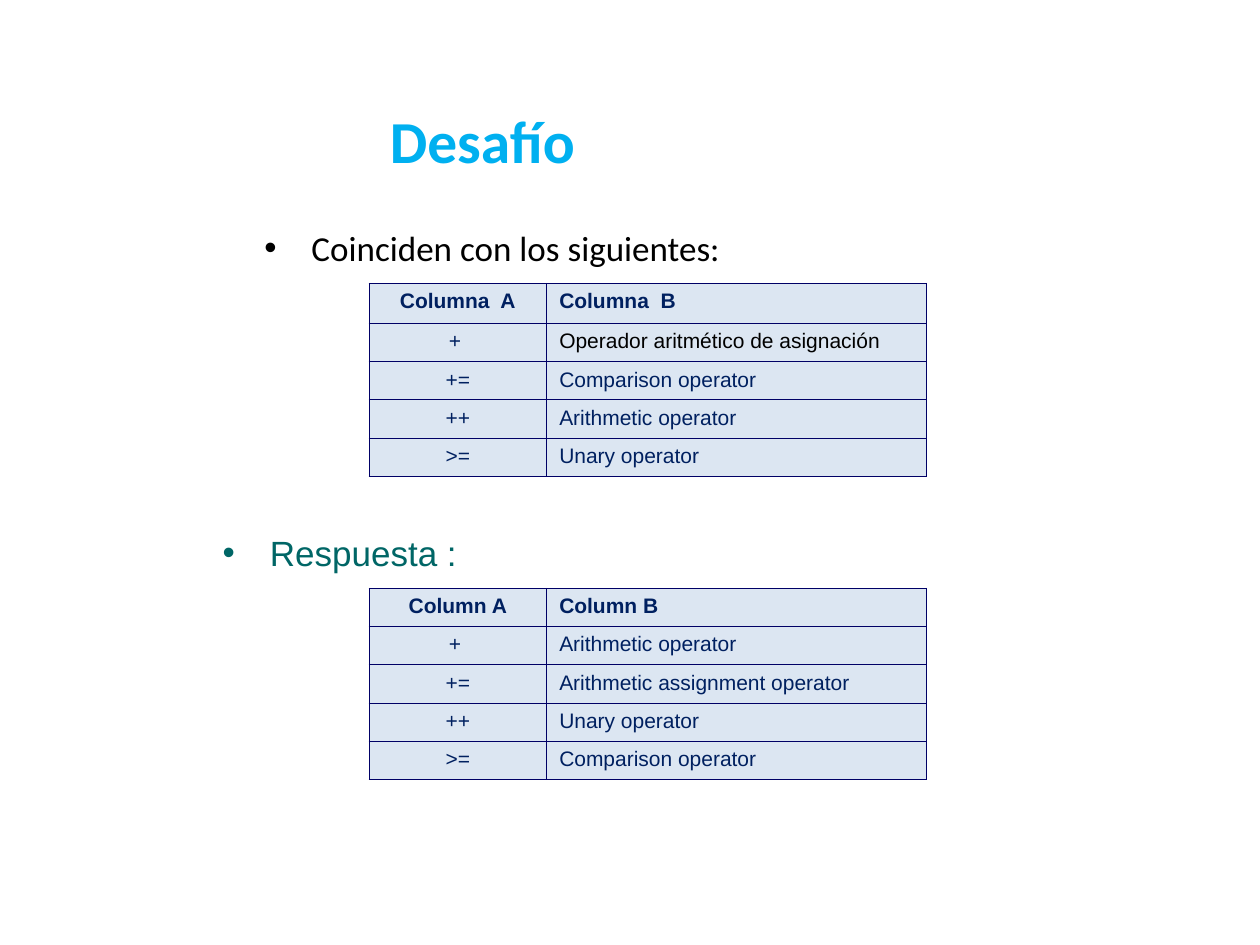
from lxml.etree import SubElement
from pptx import Presentation
from pptx.dml.color import RGBColor
from pptx.enum.text import PP_ALIGN
from pptx.oxml.ns import qn
from pptx.util import Cm, Pt

SKY = RGBColor(0x00, 0xB0, 0xF0)
BLACK = RGBColor(0x00, 0x00, 0x00)
TEAL = RGBColor(0x00, 0x66, 0x66)
NAVY = RGBColor(0x00, 0x20, 0x60)
PALE = RGBColor(0xDC, 0xE6, 0xF2)
EDGE = RGBColor(0x00, 0x00, 0x66)

# Content: boxes are left, top, width, height in cm
TITLE = ("Desafío", (0.2, 1.98, 19.05, 1.7))
TASK = ("Coinciden con los siguientes:", (5.08, 4.45, 20.32, 5.92))
REPLY = ("Respuesta :", (4.24, 10.59, 15.88, 7.19))
PAIRS = [
    ("Columna  A", "Columna  B"),
    ("+ ", "Operador aritmético de asignación"),
    ("+=", "Comparison operator"),
    ("++", "Arithmetic operator"),
    (">=", "Unary operator"),
]
MATCHES = [
    ("Column A", "Column B"),
    ("+ ", "Arithmetic operator"),
    ("+=", "Arithmetic assignment operator"),
    ("++", "Unary operator"),
    (">=", "Comparison operator"),
]
SPANISH = "Operador aritmético de asignación"  # the one black cell
LEFT, COLS, ROW = 7.44, (3.58, 7.65), 0.77


def write(frame, text, size=12, font="Arial", color=NAVY, bold=False,
          align=PP_ALIGN.LEFT, bullet=False):
    frame.word_wrap = True
    para = frame.paragraphs[0]
    para.alignment = align
    if bullet:
        props = para._p.get_or_add_pPr()
        props.set("marL", str(Cm(0.95)))
        props.set("indent", str(-Cm(0.95)))
        tint = SubElement(props, qn("a:buClr"))
        SubElement(tint, qn("a:srgbClr"), val=str(color))
        SubElement(props, qn("a:buFont"), typeface="Arial")
        SubElement(props, qn("a:buChar"), char="•")
    run = para.add_run()
    run.text = text
    run.font.size = Pt(size)
    run.font.name = font
    run.font.bold = bold
    run.font.color.rgb = color


def add_text(slide, item, **style):
    text, box = item
    frame = slide.shapes.add_textbox(*map(Cm, box)).text_frame
    write(frame, text, **style)


def outline(cell):
    props = cell._tc.get_or_add_tcPr()
    for side in ("lnL", "lnR", "lnT", "lnB"):
        line = SubElement(props, qn("a:" + side), w=str(Pt(0.45)))
        fill = SubElement(line, qn("a:solidFill"))
        SubElement(fill, qn("a:srgbClr"), val=str(EDGE))


def add_grid(slide, data, top, head):
    high = head + ROW * (len(data) - 1)
    table = slide.shapes.add_table(
        len(data), len(COLS), Cm(LEFT), Cm(top), Cm(sum(COLS)), Cm(high)).table
    for col, width in zip(table.columns, COLS):
        col.width = Cm(width)
    for r, texts in enumerate(data):
        table.rows[r].height = Cm(ROW if r else head)
        for c, text in enumerate(texts):
            cell = table.cell(r, c)
            outline(cell)
            cell.fill.solid()
            cell.fill.fore_color.rgb = PALE
            write(cell.text_frame, text, bold=r == 0,
                  color=BLACK if text == SPANISH else NAVY,
                  align=PP_ALIGN.LEFT if c else PP_ALIGN.CENTER)


def main():
    deck = Presentation()
    deck.slide_width, deck.slide_height = Cm(25.4), Cm(19.05)
    slide = deck.slides.add_slide(deck.slide_layouts[6])

    # Title and challenge
    add_text(slide, TITLE, size=34, font="Calibri", color=SKY, bold=True,
             align=PP_ALIGN.CENTER)
    add_text(slide, TASK, size=20, font="Calibri", color=BLACK, bullet=True)
    add_grid(slide, PAIRS, top=5.71, head=0.81)

    # Answer
    add_grid(slide, MATCHES, top=11.86, head=ROW)
    add_text(slide, REPLY, size=20, color=TEAL, bullet=True)
    deck.save("out.pptx")


if __name__ == "__main__":
    main()
